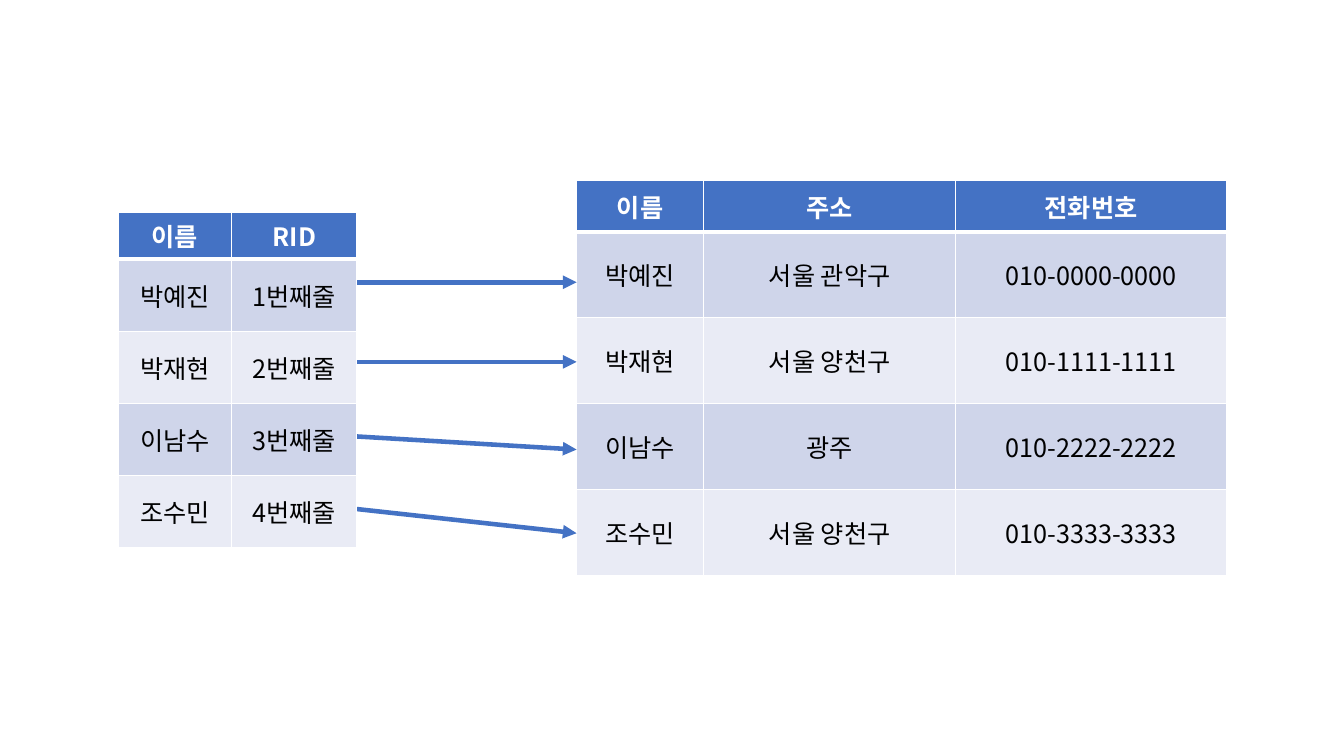
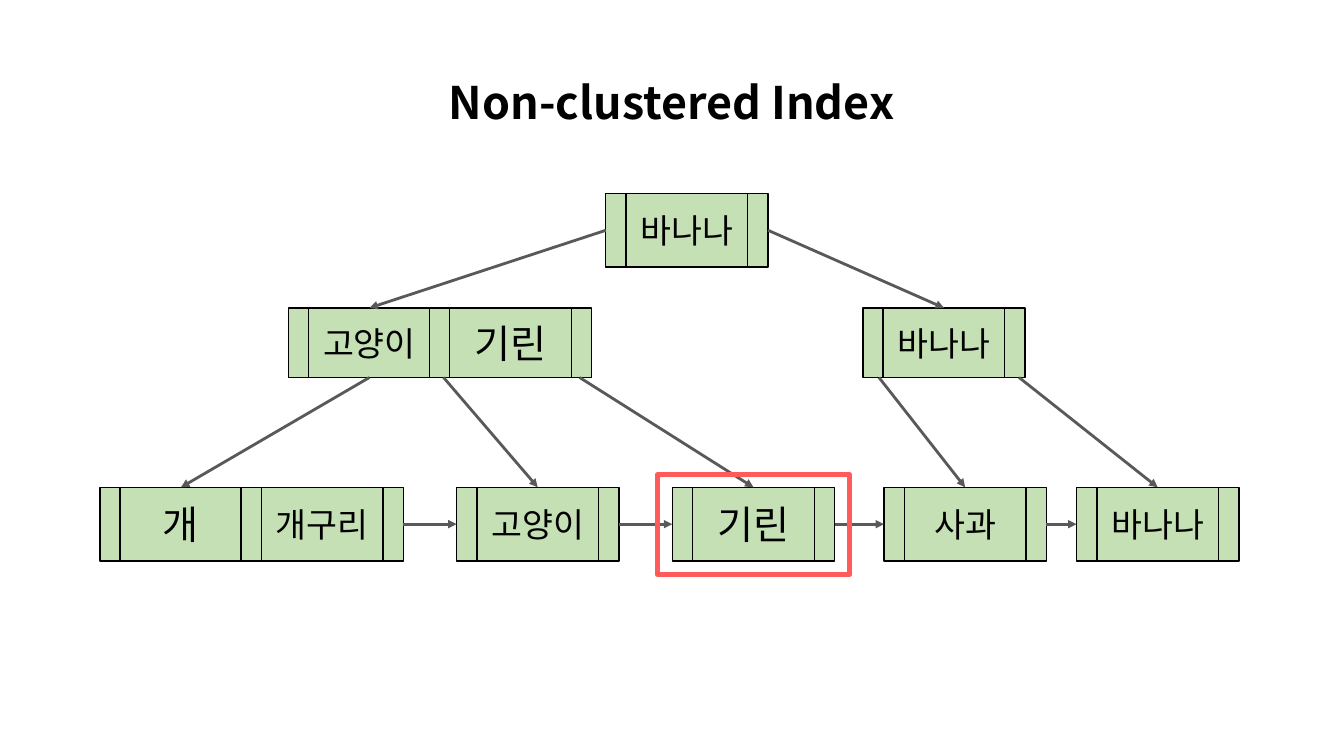
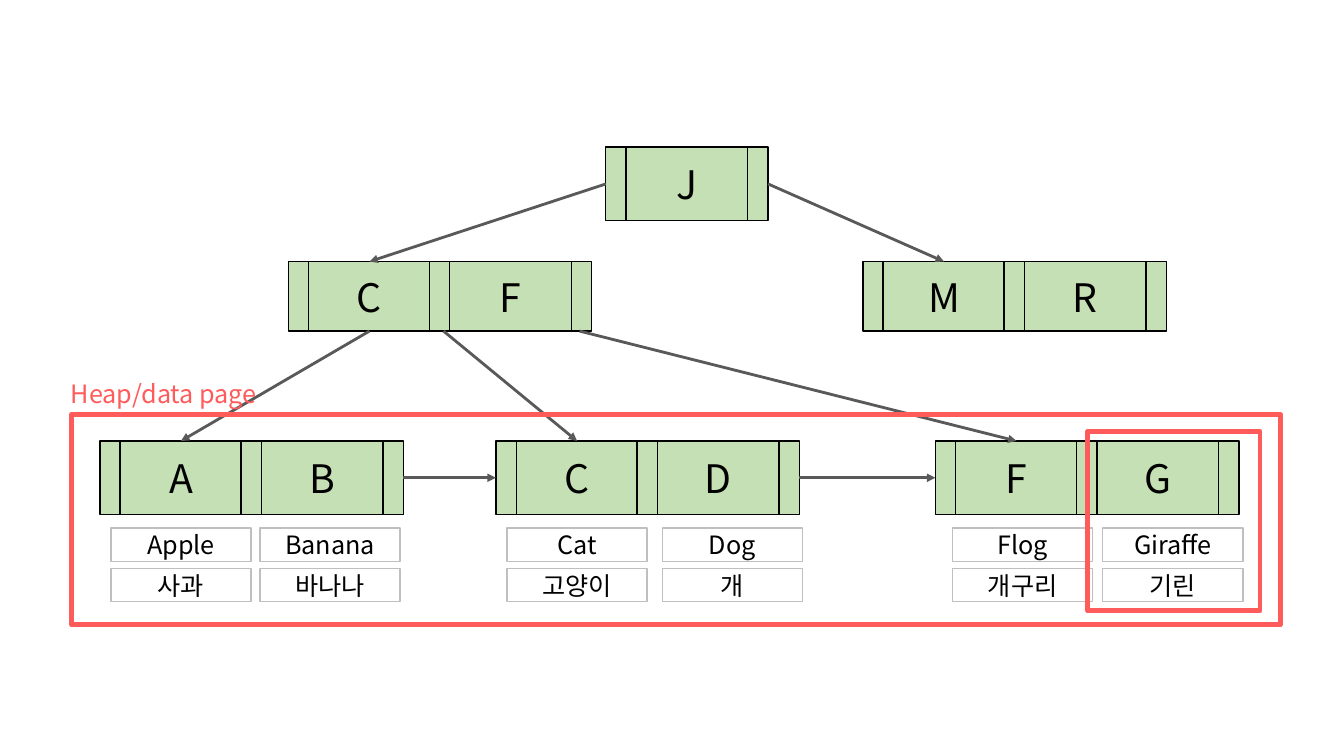
from lxml import etree
from pptx import Presentation
from pptx.dml.color import RGBColor
from pptx.enum.shapes import MSO_CONNECTOR, MSO_SHAPE
from pptx.enum.text import MSO_ANCHOR, PP_ALIGN
from pptx.oxml.ns import qn
from pptx.util import Inches, Pt

LINE = MSO_CONNECTOR.STRAIGHT
RECT = MSO_SHAPE.RECTANGLE
KEY = MSO_SHAPE.FLOWCHART_PREDEFINED_PROCESS
MIDDLE = MSO_ANCHOR.MIDDLE
CENTER = PP_ALIGN.CENTER
TOP, LEFT, BOTTOM, RIGHT = range(4)

BLACK = RGBColor(0x00, 0x00, 0x00)
WHITE = RGBColor(0xFF, 0xFF, 0xFF)
BLUE = RGBColor(0x44, 0x72, 0xC4)
BANDS = RGBColor(0xCF, 0xD5, 0xEA), RGBColor(0xE9, 0xEB, 0xF5)
GREEN = RGBColor(0xC5, 0xE0, 0xB4)
GRAY = RGBColor(0x59, 0x59, 0x59)
SILVER = RGBColor(0xBF, 0xBF, 0xBF)
RED = RGBColor(0xFF, 0x5B, 0x5B)
FONT = "Noto Sans CJK KR"

# Grid of square cells: 133.33 columns by 75 rows
CELL = Inches(0.1)
COLS, ROWS = 133.33, 75

# Index tree: size of a key, step between keys, rows below the top
KEY_W, STEP = 16.1, 14
ROOT_X, ROOT_H = 60.1, 7.3
MID_Y, MID_H = 11.35, 6.9
LEAF_Y, LEAF_H = 29.15, 7.3


def grid(*cells):
    return [round(n * CELL) for n in cells]


def write(frame, text, size, color=BLACK, bold=False):
    """Put one centred run in a text frame."""
    frame.word_wrap = True
    para = frame.paragraphs[0]
    para.alignment = CENTER
    run = para.add_run()
    run.text = text
    font = run.font
    font.size, font.bold, font.name = Pt(size), bold, FONT
    font.color.rgb = color
    etree.SubElement(run._r.get_or_add_rPr(), qn("a:ea"), typeface=FONT)
    return para


def label(slide, box, text, size, color=BLACK, bold=False):
    frame = slide.shapes.add_textbox(*grid(*box)).text_frame
    frame.vertical_anchor = MIDDLE
    return write(frame, text, size, color, bold)


def block(slide, kind, box, fill, edge, width, text="", size=18):
    """Draw a filled or hollow box with an optional label."""
    shape = slide.shapes.add_shape(kind, *grid(*box))
    shape.shadow.inherit = False
    if fill is None:
        shape.fill.background()
    else:
        shape.fill.solid()
        shape.fill.fore_color.rgb = fill
    shape.line.color.rgb = edge
    shape.line.width = Pt(width)
    if text:
        shape.text_frame.vertical_anchor = MIDDLE
        write(shape.text_frame, text, size)
    return shape


def frame_red(slide, *box):
    block(slide, RECT, box, None, RED, 3.5)


def arrow(slide, start, end, color=GRAY, width=2):
    """Each end is a grid point (x, y) or a joint (shape, side)."""
    joined = [not isinstance(tip[0], (int, float)) for tip in (start, end)]
    spots = [(0, 0) if tied else grid(*tip)
             for tied, tip in zip(joined, (start, end))]
    link = slide.shapes.add_connector(LINE, *spots[0], *spots[1])
    if joined[0]:
        link.begin_connect(*start)
    if joined[1]:
        link.end_connect(*end)
    link.line.color.rgb = color
    link.line.width = Pt(width)
    props = link.element.spPr
    etree.SubElement(props.find(qn("a:ln")), qn("a:tailEnd"), type="triangle")
    etree.SubElement(props, qn("a:effectLst"))


def border(cell, low):
    props = cell._tc.get_or_add_tcPr()
    for side, width in zip("LRTB", (1, 1, 1, low)):
        line = etree.SubElement(props, qn("a:ln" + side), w=str(Pt(width)))
        fill = etree.SubElement(line, qn("a:solidFill"))
        etree.SubElement(fill, qn("a:srgbClr"), val=str(WHITE))


def sheet(slide, left, top, widths, head, body, rows):
    """Draw a table: blue head row, then banded rows."""
    heights = [head] + [body] * (len(rows) - 1)
    box = grid(left, top, sum(widths), sum(heights))
    table = slide.shapes.add_table(len(rows), len(widths), *box).table
    table.horz_banding = False
    for col, width in zip(table.columns, grid(*widths)):
        col.width = width
    for row, height in zip(table.rows, grid(*heights)):
        row.height = height
    for i, row in enumerate(rows):
        for j, text in enumerate(row):
            cell = table.cell(i, j)
            border(cell, 1 if i else 3)
            cell.fill.solid()
            cell.fill.fore_color.rgb = BANDS[(i - 1) % 2] if i else BLUE
            cell.vertical_anchor = MIDDLE
            write(cell.text_frame, text, 18, BLACK if i else WHITE, not i)


def page(slide, left, top, height, keys):
    """Draw one index page as a row of keys; return its key shapes."""
    return [block(slide, KEY, (left + i * STEP, top, KEY_W, height),
                  GREEN, BLACK, 1, text, size)
            for i, (text, size) in enumerate(keys)]


def tree(slide, top, root, mids, leaves, links):
    """links: (mid page, columns from its left or None for mid-key, leaf)."""
    base = page(slide, ROOT_X, top, ROOT_H, [root])[0]
    inner = [page(slide, x, top + MID_Y, MID_H, keys) for x, keys in mids]
    outer = [page(slide, x, top + LEAF_Y, LEAF_H, keys) for x, keys in leaves]
    for side, keys in zip((LEFT, RIGHT), inner):
        arrow(slide, (base, side), (keys[0], TOP))
    for mid, shift, leaf in links:
        if shift is None:
            start = inner[mid][0], BOTTOM
        else:
            start = mids[mid][0] + shift, top + MID_Y + MID_H
        arrow(slide, start, (outer[leaf][0], TOP))
    for one, two in zip(outer, outer[1:]):
        arrow(slide, (one[-1], RIGHT), (two[0], LEFT))


def big(letters):
    return [(letter, 28) for letter in letters]


def small(*words):
    return [(word, 24) for word in words]


def lookup(slide):
    """Index table pointing at the rows of a data table."""
    names = "박예진", "박재현", "이남수", "조수민"
    towns = "서울 관악구", "서울 양천구", "광주", "서울 양천구"
    people = [(name, town, f"010-{str(i) * 4}-{str(i) * 4}")
              for i, (name, town) in enumerate(zip(names, towns))]
    order = [(name, f"{i}번째줄") for i, name in enumerate(names, 1)]
    sheet(slide, 57.2, 17.9, (12.6, 25, 26.9), 5.1, 8.53,
          [("이름", "주소", "전화번호")] + people)
    for y, end in ((28, 28), (35.9, 35.9), (43.3, 44.6), (50.5, 52.9)):
        arrow(slide, (35.4, y), (57.2, end), BLUE, 3.25)
    sheet(slide, 11.7, 21.1, (11.3, 12.4), 4.3, 7.15,
          [("이름", "RID")] + order)


def words(slide):
    """Tree of words with one leaf framed."""
    para = label(slide, (40.4, 5.4, 52.5, 10), "Non-clustered Index", 32,
                 bold=True)
    para.line_spacing = 0.9
    tree(slide, 19.2, ("바나나", 24),
         [(28.6, small("고양이") + big(["기린"])), (85.6, small("바나나"))],
         [(9.9, big(["개"]) + small("개구리")), (45.3, small("고양이")),
          (66.7, big(["기린"])), (87.7, small("사과")),
          (106.8, small("바나나"))],
         [(0, None, 0), (0, 15.4, 1), (0, 28.9, 2), (1, 1.6, 3), (1, 15.5, 4)])
    frame_red(slide, 65.2, 47.1, 19.1, 9.9)


def letters(slide):
    """Tree of letters with the data page under its leaves."""
    tree(slide, 14.6, ("J", 28),
         [(28.6, big("CF")), (85.6, big("MR"))],
         [(9.9, big("AB")), (49.2, big("CD")), (92.8, big("FG"))],
         [(0, None, 0), (0, 15.4, 1), (0, 28.9, 2)])
    cards = ((11, "Apple", "사과"), (25.8, "Banana", "바나나"),
             (50.3, "Cat", "고양이"), (65.7, "Dog", "개"),
             (94.5, "Flog", "개구리"), (109.4, "Giraffe", "기린"))
    for x, *pair in cards:
        for i, text in enumerate(pair):
            block(slide, RECT, (x, 52.4 + i * 4, 13.9, 3.3),
                  WHITE, SILVER, 1, text)
    frame_red(slide, 7.1, 41.1, 119.9, 20.9)
    label(slide, (4.9, 37.3, 22.7, 3.4), "Heap/data page", 18, RED)
    frame_red(slide, 107.9, 42.8, 17.1, 17.8)


def main():
    deck = Presentation()
    deck.slide_width, deck.slide_height = grid(COLS, ROWS)
    for build in (lookup, words, letters):
        build(deck.slides.add_slide(deck.slide_layouts[6]))
    deck.save("out.pptx")


if __name__ == "__main__":
    main()
